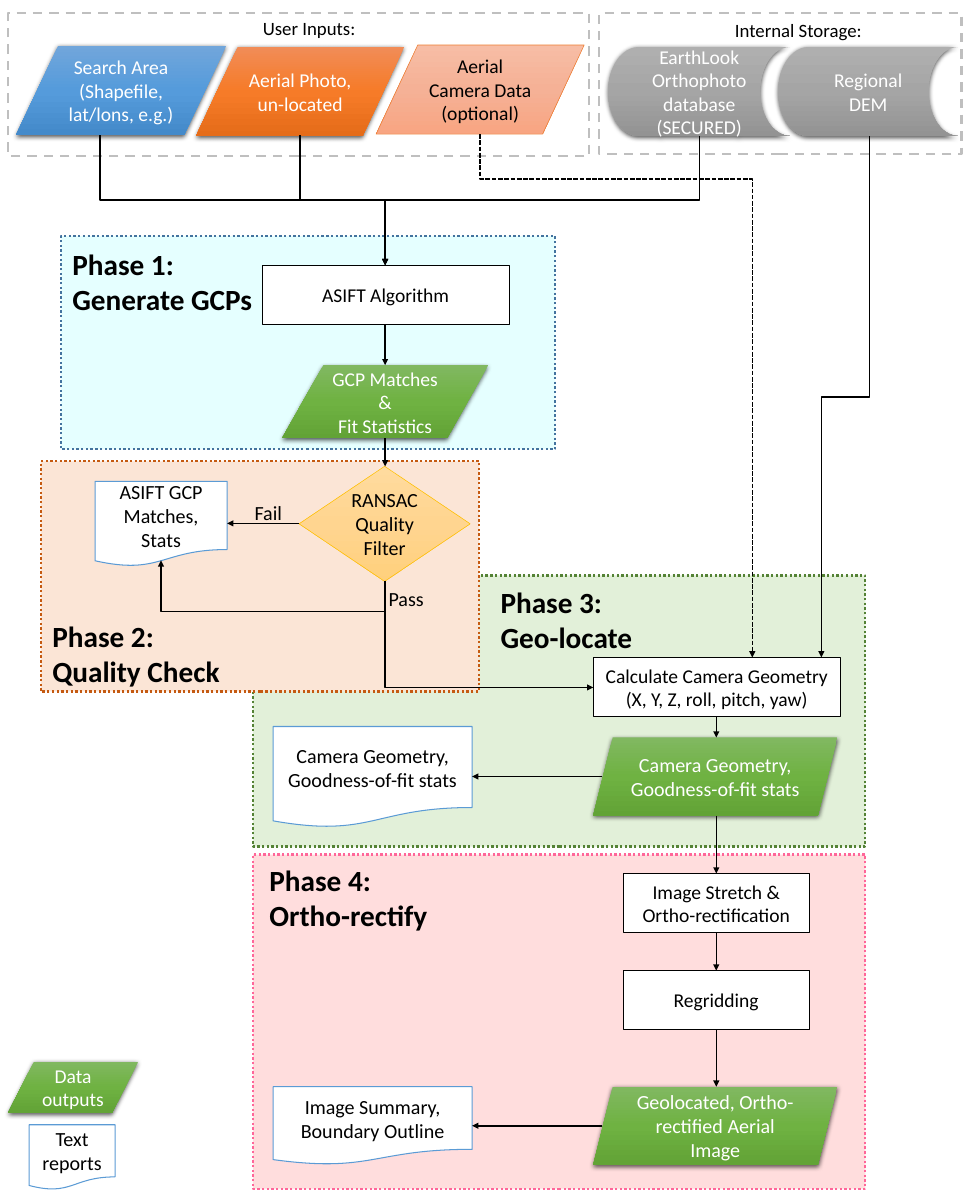
from copy import deepcopy
from lxml import etree
from pptx import Presentation
from pptx import util as u
from pptx.dml.color import RGBColor
from pptx.enum import dml, shapes, text
from pptx.oxml.ns import qn

PX = 914400 / 75.2
BLACK = RGBColor(0x00, 0x00, 0x00)
WHITE = RGBColor(0xFF, 0xFF, 0xFF)
SILVER = RGBColor(0xBF, 0xBF, 0xBF)
REPORT_BLUE = RGBColor(0x5B, 0x9B, 0xD5)
GOLD_LINE = RGBColor(0xFF, 0xC0, 0x00)
ORANGE_LINE = RGBColor(0xED, 0x7D, 0x31)
CYAN = RGBColor(0x66, 0xFF, 0xFF)
PEACH = RGBColor(0xFB, 0xE5, 0xD6)
MINT = RGBColor(0xE2, 0xF0, 0xD9)
PINK = RGBColor(0xFF, 0xDD, 0xDD)
PHASE1_LINE = RGBColor(0x43, 0x73, 0x9E)
PHASE2_LINE = RGBColor(0xC5, 0x5A, 0x11)
PHASE3_LINE = RGBColor(0x54, 0x82, 0x35)
PHASE4_LINE = RGBColor(0xFF, 0x66, 0x99)
BLUE = (RGBColor(0x71, 0xA6, 0xDB), RGBColor(0x55, 0x9B, 0xDB), RGBColor(0x44, 0x8A, 0xCA))
ORANGE = (RGBColor(0xF1, 0x8C, 0x57), RGBColor(0xF6, 0x7B, 0x28), RGBColor(0xE5, 0x6C, 0x19))
SALMON = (RGBColor(0xF7, 0xBD, 0xA5), RGBColor(0xF5, 0xB1, 0x96), RGBColor(0xF8, 0xA5, 0x82))
GREY = (RGBColor(0xAF, 0xAF, 0xAF), RGBColor(0xA5, 0xA5, 0xA5), RGBColor(0x93, 0x93, 0x93))
GREEN = (RGBColor(0x81, 0xB8, 0x61), RGBColor(0x6F, 0xB2, 0x42), RGBColor(0x62, 0xA3, 0x36))
GOLD = (RGBColor(0xFF, 0xDB, 0x9E), RGBColor(0xFF, 0xD5, 0x90), RGBColor(0xFF, 0xD0, 0x7C))

KIND = shapes.MSO_SHAPE
DATA = KIND.FLOWCHART_DATA
STORE = KIND.FLOWCHART_STORED_DATA
STEP = KIND.FLOWCHART_PROCESS
REPORT = KIND.FLOWCHART_DOCUMENT
OUTPUT = KIND.PARALLELOGRAM
CHOICE = KIND.FLOWCHART_DECISION
CENTER = text.PP_ALIGN.CENTER
LEFT = text.PP_ALIGN.LEFT
DOTS = dml.MSO_LINE.ROUND_DOT
DASHES = dml.MSO_LINE.DASH

prs = Presentation()
prs.slide_width, prs.slide_height = u.Inches(13), u.Inches(16)
s = prs.slides.add_slide(prs.slide_layouts[6])


def emu(*pixels):
    return [round(v * PX) for v in pixels]


def write(sp, words, size, color, align=CENTER, bold=False):
    tf = sp.text_frame
    tf.word_wrap = True
    for i, line in enumerate(words.split("\n")):
        p = tf.add_paragraph() if i else tf.paragraphs[0]
        p.alignment = align
        r = p.add_run()
        r.text = line
        r.font.name = "Calibri"
        r.font.size = u.Pt(size)
        r.font.bold = bold
        r.font.color.rgb = color


for box, fill, line, dash in [
    ((253, 575, 612, 271), MINT, PHASE3_LINE, DOTS),
    ((41, 461, 438, 230), PEACH, PHASE2_LINE, DOTS),
    ((61, 236, 494, 213), CYAN, PHASE1_LINE, DOTS),
    ((253, 854, 612, 334), PINK, PHASE4_LINE, DOTS),
    ((599, 13, 362, 141), None, SILVER, DASHES),
    ((8, 13, 581, 143), None, SILVER, DASHES),
]:
    sp = s.shapes.add_shape(KIND.RECTANGLE, *emu(*box))
    sp.shadow.inherit = False
    if fill is None:
        sp.fill.background()
    else:
        sp.fill.solid()
        sp.fill.fore_color.rgb = fill
    if fill == CYAN:
        color = sp._element.spPr.find(qn("a:solidFill"))[0]
        etree.SubElement(color, qn("a:alpha"), val="17000")
    sp.line.color.rgb = line
    sp.line.width = u.Pt(2.25)
    sp.line.dash_style = dash

for kind, box, words, size, fill, line in [
    (DATA, (196, 47, 208, 89), "Aerial Photo, un-located", 18.7, ORANGE, None),
    (STORE, (608, 47, 182, 89), "EarthLook Orthophoto database (SECURED)", 18.7, GREY, None),
    (DATA, (16, 46, 210, 89), "Search Area (Shapefile, lat/lons, e.g.)", 18.7, BLUE, None),
    (STORE, (778, 47, 180, 89), "Regional DEM", 18.7, GREY, None),
    (DATA, (376, 45, 208, 89), "Aerial Camera Data (optional)", 18.7, SALMON, ORANGE_LINE),
    (STEP, (262, 265, 247, 59), "ASIFT Algorithm", 18.7, None, BLACK),
    (DATA, (282, 365, 206, 73), "GCP Matches &\nFit Statistics", 18.7, GREEN, None),
    (CHOICE, (299, 466, 171, 115), "RANSAC Quality Filter", 19.2, GOLD, GOLD_LINE),
    (REPORT, (95, 481, 132, 85), "ASIFT GCP Matches, Stats", 19.2, None, REPORT_BLUE),
    (STEP, (593, 657, 247, 59), "Calculate Camera Geometry (X, Y, Z, roll, pitch, yaw)",
     18.7, None, BLACK),
    (OUTPUT, (593, 737, 244, 78), "Camera Geometry, Goodness-of-fit stats", 19.2, GREEN, None),
    (REPORT, (273, 726, 199, 101), "Camera Geometry, Goodness-of-fit stats",
     19.2, None, REPORT_BLUE),
    (STEP, (623, 873, 186, 59), "Image Stretch & Ortho-rectification", 18.7, None, BLACK),
    (STEP, (623, 970, 186, 59), "Regridding", 18.7, None, BLACK),
    (OUTPUT, (593, 1086, 244, 78), "Geolocated, Ortho-rectified Aerial Image",
     19.2, GREEN, None),
    (REPORT, (273, 1086, 199, 78), "Image Summary, Boundary Outline", 19.2, None, REPORT_BLUE),
    (DATA, (8, 1061, 130, 51), "Data outputs", 18.7, GREEN, None),
    (REPORT, (29, 1124, 86, 65), "Text reports", 19.2, None, REPORT_BLUE),
]:
    sp = s.shapes.add_shape(kind, *emu(*box))
    sp.shadow.inherit = False
    if fill:
        sp.fill.gradient()
        sp.fill.gradient_angle = 270
        stops = sp._element.spPr.find(qn("a:gradFill")).find(qn("a:gsLst"))
        stops.insert(1, deepcopy(stops[0]))
        for stop, color, position in zip(sp.fill.gradient_stops, fill, (0, 0.5, 1)):
            stop.color.rgb = color
            stop.position = position
    else:
        sp.fill.solid()
        sp.fill.fore_color.rgb = WHITE
    if line:
        sp.line.color.rgb = line
        sp.line.width = u.Pt(0.5 if fill else 1)
    else:
        sp.line.fill.background()
        effects = sp._element.spPr.find(qn("a:effectLst"))
        shadow = etree.SubElement(effects, qn("a:outerShdw"), blurRad="57150", dist="19050",
                                  dir="5400000", algn="ctr", rotWithShape="0")
        color = etree.SubElement(shadow, qn("a:srgbClr"), val="000000")
        etree.SubElement(color, qn("a:alpha"), val="63000")
    write(sp, words, size, BLACK if line else WHITE)

for x1, y1, x2, y2, bend in [
    (300, 135, 385, 265, 200),
    (699, 136, 385, 265, 200),
    (100, 135, 385, 265, 200),
    (480, 134, 752, 657, 179),
    (869, 136, 821, 657, 397),
    (385, 581, 161, 560, 611),
    (385, 581, 593, 687, 687),
    (385, 324, 385, 365, None),
    (385, 438, 385, 466, None),
    (299, 523, 227, 523, None),
    (716, 716, 716, 737, None),
    (716, 815, 716, 873, None),
    (716, 932, 716, 970, None),
    (716, 1029, 716, 1086, None),
    (602, 776, 472, 776, None),
    (602, 1125, 472, 1125, None),
]:
    if bend is None:
        c = s.shapes.add_connector(shapes.MSO_CONNECTOR.STRAIGHT, *emu(x1, y1, x2, y2))
    else:
        dx, dy = x2 - x1, y2 - y1
        mx, my = (x1 + x2) / 2, (y1 + y2) / 2
        w, h = abs(dy) / 2, abs(dx) / 2
        c = s.shapes.add_connector(shapes.MSO_CONNECTOR.ELBOW,
                                   *emu(mx - w, my - h, mx + w, my + h))
        xfrm = c._element.spPr.find(qn("a:xfrm"))
        xfrm.set("rot", "16200000" if dx > 0 else "5400000")
        if dx * dy > 0:
            xfrm.set("flipH", "1")
        geom = c._element.spPr.find(qn("a:prstGeom"))
        if bend == y2:
            geom.set("prst", "bentConnector2")
        else:
            ratio = round((bend - y1) / dy * 100000)
            etree.SubElement(geom.find(qn("a:avLst")), qn("a:gd"), name="adj1",
                             fmla=f"val {ratio}")
    c.line.color.rgb = BLACK
    c.line.width = u.Pt(1.5)
    if x2 == 752:
        c.line.dash_style = dml.MSO_LINE.SQUARE_DOT
        c.line._ln.find(qn("a:prstDash")).set("val", "sysDash")
    etree.SubElement(c.line._ln, qn("a:tailEnd"), type="triangle")
    etree.SubElement(c._element.spPr, qn("a:effectLst"))

for box, words, size, align, bold in [
    ((65, 242, 213, 78), "Phase 1:\nGenerate GCPs", 28, LEFT, True),
    ((45, 614, 213, 78), "Phase 2:\nQuality Check", 28, LEFT, True),
    ((493, 580, 235, 78), "Phase 3:\nGeo-locate", 28, LEFT, True),
    ((262, 858, 235, 78), "Phase 4:\nOrtho-rectify", 28, LEFT, True),
    ((247, 496, 104, 32), "Fail", 19.2, LEFT, False),
    ((381, 582, 104, 32), "Pass", 19.2, LEFT, False),
    ((185, 13, 248, 30), "User Inputs:", 18, CENTER, False),
    ((674, 15, 248, 30), "Internal Storage:", 18, CENTER, False),
]:
    write(s.shapes.add_textbox(*emu(*box)), words, size, BLACK, align, bold)

prs.save("out.pptx")
